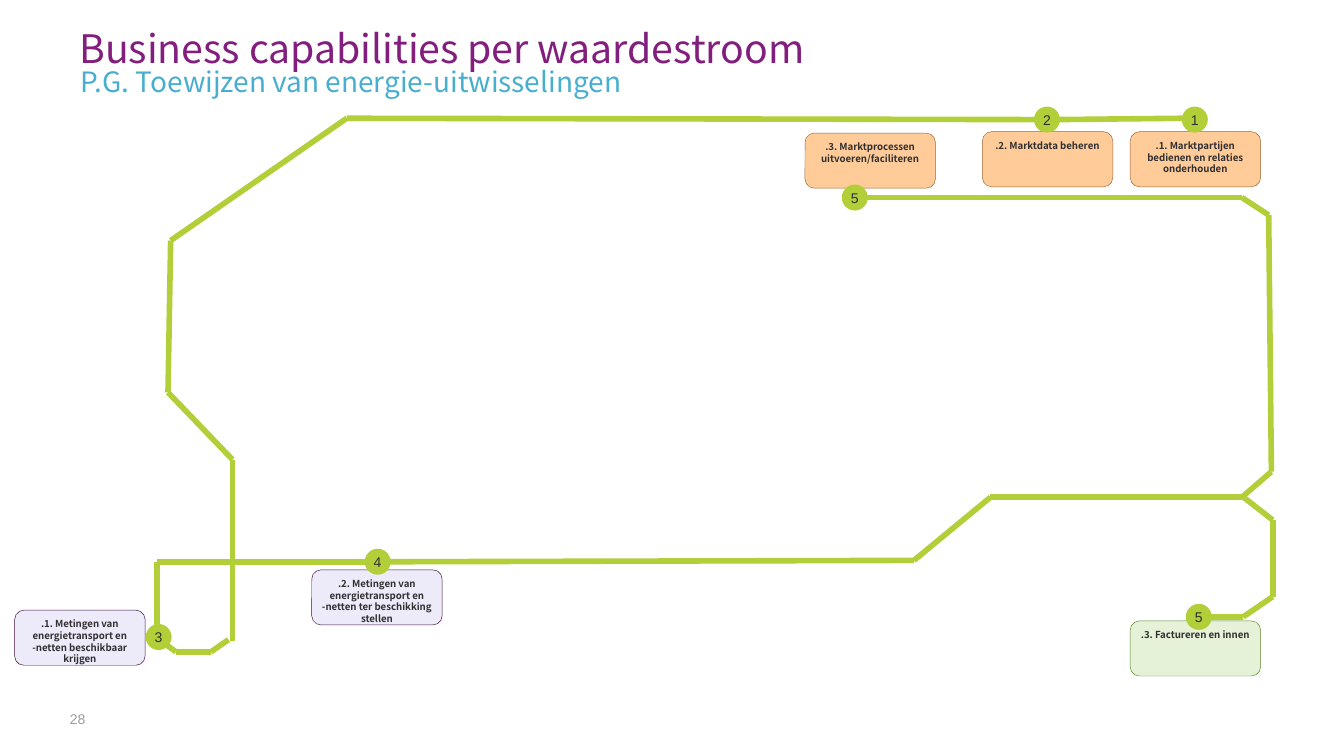
from itertools import pairwise

from lxml import etree
from pptx import Presentation
from pptx.dml.color import RGBColor
from pptx.enum.shapes import MSO_CONNECTOR, MSO_SHAPE
from pptx.enum.text import MSO_ANCHOR, PP_ALIGN
from pptx.oxml.ns import qn
from pptx.util import Inches, Pt

ROUND_RECT, OVAL = MSO_SHAPE.ROUNDED_RECTANGLE, MSO_SHAPE.OVAL
STRAIGHT = MSO_CONNECTOR.STRAIGHT
TOP, MIDDLE = MSO_ANCHOR.TOP, MSO_ANCHOR.MIDDLE
LEFT, CENTER = PP_ALIGN.LEFT, PP_ALIGN.CENTER
SANS, ARIAL = "Noto Sans CJK TC", "Arial"
GREEN, DARK = "B2CF39", "312F31"


def rgb(value):
    return RGBColor.from_string(value)


def write(sp, text, size, font, color, align=LEFT, anchor=TOP,
          bold=False, pad=0, spacing=None):
    tf = sp.text_frame
    tf.word_wrap = True
    tf.vertical_anchor = anchor
    tf.margin_left = tf.margin_right = 0
    tf.margin_top = tf.margin_bottom = Inches(pad)
    p = tf.paragraphs[0]
    p.alignment = align
    if spacing:
        p.line_spacing = spacing
    r = p.add_run()
    r.text = text
    r.font.size, r.font.name, r.font.bold = Pt(size), font, bold
    r.font.color.rgb = rgb(color)


# Widescreen 16:9 slide
prs = Presentation()
prs.slide_width = Inches(10)
prs.slide_height = Inches(10) * 9 // 16
s = prs.slides.add_slide(prs.slide_layouts[6])

# Title, subtitle and page number
headings = [
    (0.59, 0.14, 7.28, 0.39, "Business capabilities per waardestroom", 21, SANS, "821E7D", Pt(28)),
    (0.6, 0.43, 7.55, 0.22, "P.G. Toewijzen van energie-uitwisselingen", 15, SANS, "48AED0", 1.2),
    (0.52, 5.29, 2.25, 0.3, "28", 7.5, ARIAL, "9E9C9E", None),
]
for x, y, w, h, text, size, font, color, spacing in headings:
    sp = s.shapes.add_textbox(Inches(x), Inches(y), Inches(w), Inches(h))
    write(sp, text, size, font, color, spacing=spacing)

# Capability boxes
ORANGE, LILAC, LIME = ("FFCC99", "996633"), ("EDEBF9", "410F3E"), ("E5F2D7", "5E872D")
capabilities = [
    (8.41, 0.98, ORANGE, ".1. Marktpartijen bedienen en relaties onderhouden"),
    (7.31, 0.98, ORANGE, ".2. Marktdata beheren"),
    (5.99, 0.99, ORANGE, ".3. Marktprocessen uitvoeren/faciliteren"),
    (2.32, 4.24, LILAC, ".2. Metingen van energietransport en -netten ter beschikking stellen"),
    (0.11, 4.54, LILAC, ".1. Metingen van energietransport en -netten beschikbaar krijgen"),
    (8.41, 4.62, LIME, ".3. Factureren en innen"),
]
for x, y, (fill, border), text in capabilities:
    sp = s.shapes.add_shape(ROUND_RECT, Inches(x), Inches(y), Inches(0.97), Inches(0.41))
    sp.shadow.inherit = False
    sp.fill.solid()
    sp.fill.fore_color.rgb = rgb(fill)
    sp.line.color.rgb = rgb(border)
    sp.line.width = Pt(0.25)
    write(sp, text, 5.2, SANS, DARK, CENTER, bold=True, pad=0.04)

# Route between the stations, one line per leg
routes = [
    [(8.8, 0.88), (7.87, 0.89)],
    [(7.7, 0.89), (2.58, 0.88), (1.27, 1.79), (1.25, 2.92), (1.73, 3.42), (1.73, 4.77)],
    [(1.7, 4.76), (1.57, 4.85), (1.31, 4.85), (1.24, 4.8)],
    [(1.17, 4.65), (1.17, 4.18), (2.72, 4.18)],
    [(2.89, 4.18), (6.8, 4.17), (7.37, 3.7), (9.24, 3.7), (9.46, 3.51),
     (9.44, 1.6), (9.24, 1.47), (6.45, 1.47)],
    [(9.24, 3.69), (9.47, 3.87), (9.47, 4.44), (9.25, 4.59), (9.01, 4.59)],
]
for route in routes:
    for (x1, y1), (x2, y2) in pairwise(route):
        leg = s.shapes.add_connector(STRAIGHT, Inches(x1), Inches(y1), Inches(x2), Inches(y2))
        leg.line.color.rgb = rgb(GREEN)
        leg.line.width = Pt(3)
        etree.SubElement(leg._element.spPr, qn("a:effectLst"))

# Numbered stations
stations = [
    ("1", 8.8, 0.8), ("2", 7.7, 0.8), ("3", 1.09, 4.65),
    ("4", 2.72, 4.09), ("5", 6.27, 1.38), ("5", 8.83, 4.5),
]
for number, x, y in stations:
    sp = s.shapes.add_shape(OVAL, Inches(x), Inches(y), Inches(0.18), Inches(0.18))
    sp.shadow.inherit = False
    sp.fill.solid()
    sp.fill.fore_color.rgb = rgb(GREEN)
    sp.line.color.rgb = rgb(GREEN)
    sp.line.width = Pt(1)
    write(sp, number, 7.5, ARIAL, DARK, CENTER, MIDDLE)

prs.save("out.pptx")
